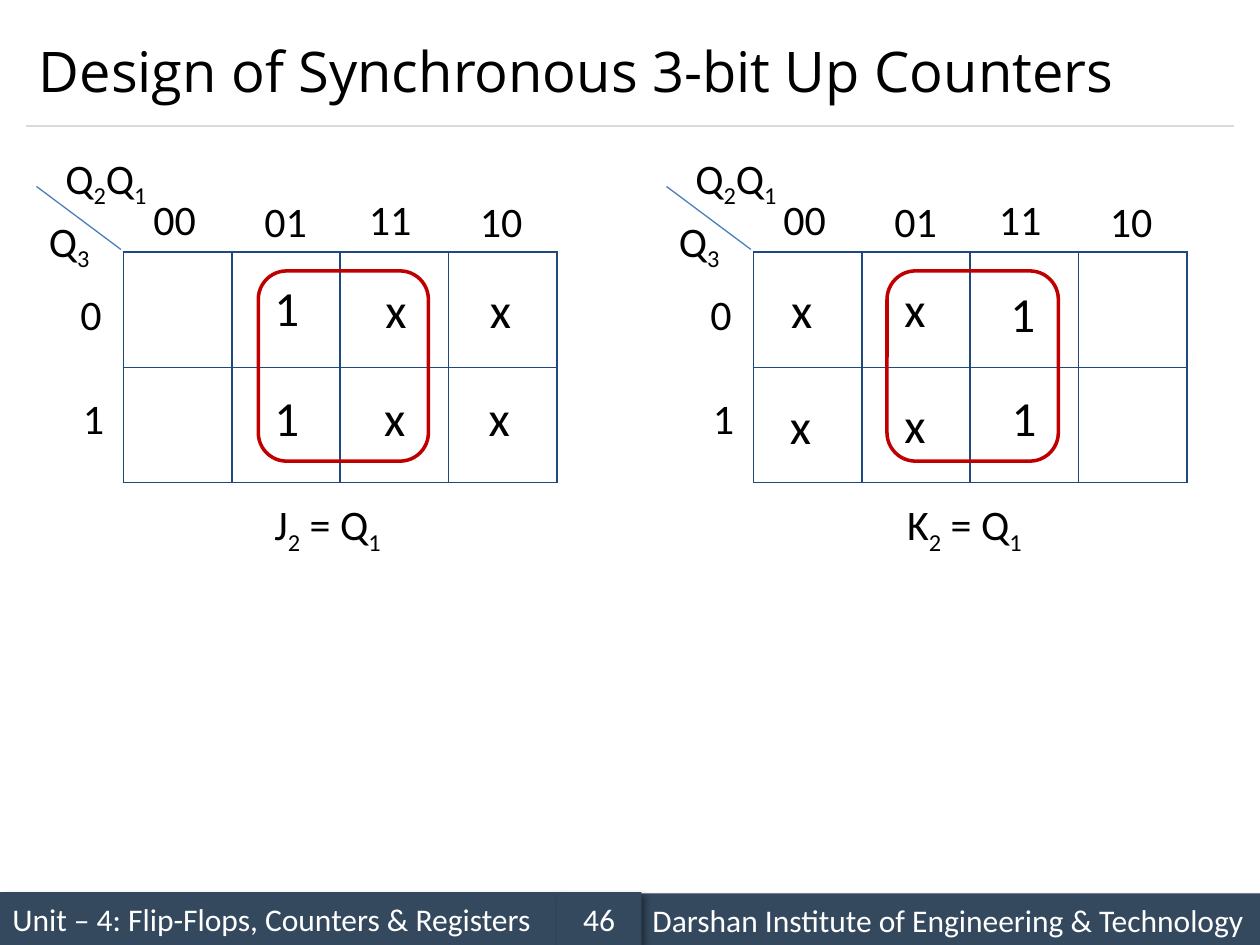
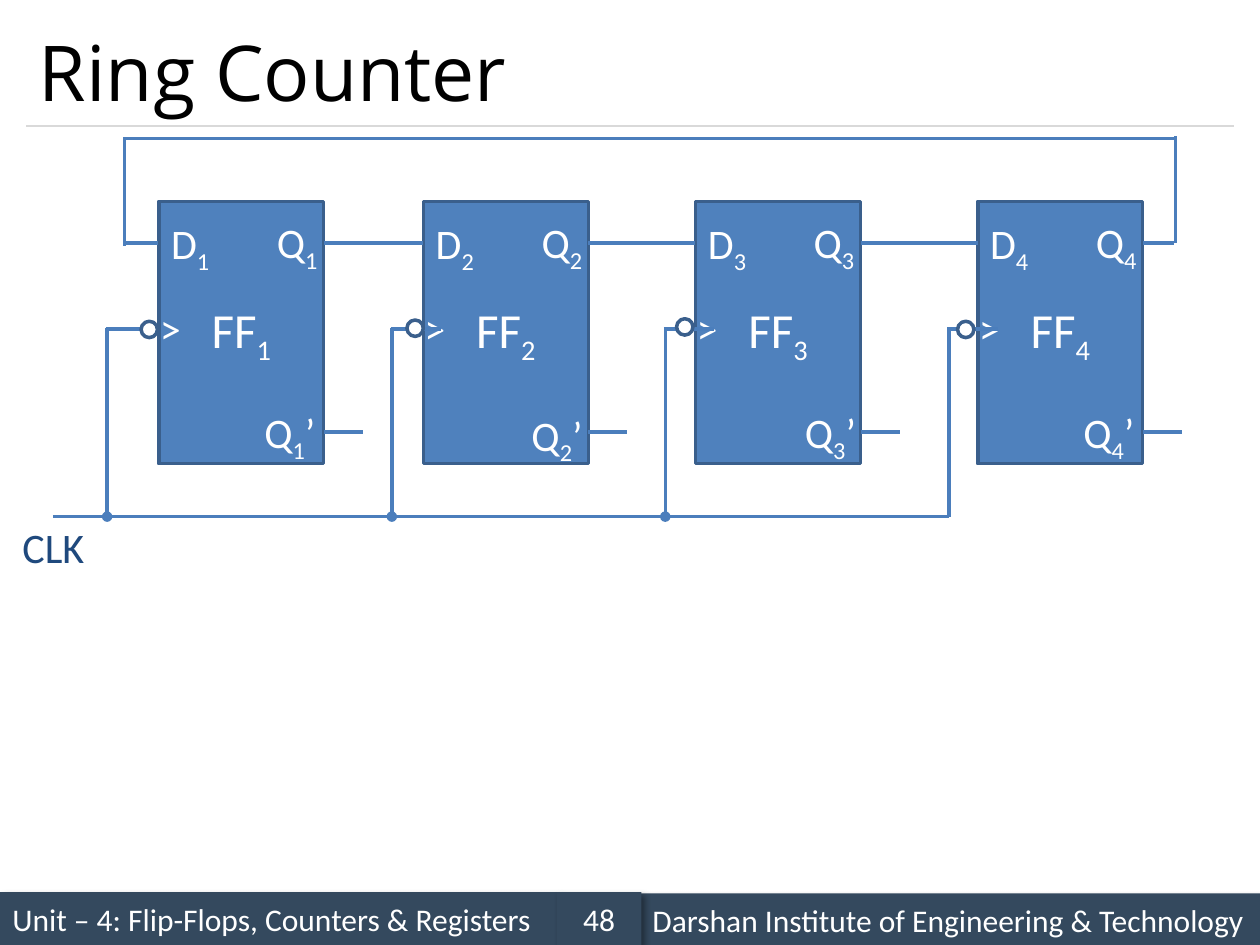
import lxml.etree
import pptx
import pptx.dml.color
import pptx.enum.shapes
import pptx.enum.text
import pptx.oxml.ns
import pptx.util

# Shared look
COLUMNS, ROWS = 10, 7.5
SLIDE_WIDTH = pptx.util.Inches(10)
SLIDE_HEIGHT = pptx.util.Inches(7.5)
BODY_FONT, TITLE_FONT = "Calibri", "Open Sans"
BLACK, WHITE = "000000", "FFFFFF"
BAND, RULE = "34495E", "D9D9D9"
WIRE, BLOCK, BLOCK_EDGE = "4B7EBC", "4F81BD", "3A5F8C"
NAVY, LOOP_RED = "1F497D", "C00000"

SHAPES = pptx.enum.shapes.MSO_SHAPE
ALIGN = pptx.enum.text.PP_ALIGN
ANCHOR = pptx.enum.text.MSO_ANCHOR


def color(hex_string):
    return pptx.dml.color.RGBColor.from_string(hex_string)


def across(columns):
    return round(SLIDE_WIDTH * columns / COLUMNS)


def down(rows):
    return round(SLIDE_HEIGHT * rows / ROWS)


def area(left, top, width, height):
    return across(left), down(top), across(width), down(height)


def add_xml(parent, tag, **attributes):
    element = lxml.etree.SubElement(parent, pptx.oxml.ns.qn(tag))
    for name, value in attributes.items():
        element.set(name, str(value))
    return element


# Basic elements
def write(shape, text, size, ink, font=BODY_FONT, align=ALIGN.LEFT):
    """Fill the first paragraph; the character after "_" is a subscript."""
    paragraph = shape.text_frame.paragraphs[0]
    paragraph.alignment = align
    paragraph.font.name = font
    paragraph.font.size = pptx.util.Pt(size)
    paragraph.font.color.rgb = color(ink)
    first, *rest = text.split("_")
    pieces = [(first, False)]
    for piece in rest:
        pieces += [(piece[0], True), (piece[1:], False)]
    for piece, subscript in pieces:
        if piece:
            run = paragraph.add_run()
            run.text = piece
            if subscript:
                run._r.get_or_add_rPr().set("baseline", "-25000")


def add_label(slide, text, left, top, width, size=24, ink=BLACK):
    label = slide.shapes.add_textbox(*area(left, top, width, size / 48))
    label.text_frame.word_wrap = False
    label.text_frame.auto_size = pptx.enum.text.MSO_AUTO_SIZE.SHAPE_TO_FIT_TEXT
    write(label, text, size, ink)


def add_box(slide, kind, place, fill=None, edge=None):
    box = slide.shapes.add_shape(kind, *area(*place))
    box.shadow.inherit = False
    box.text_frame.vertical_anchor = ANCHOR.MIDDLE
    if fill:
        box.fill.solid()
        box.fill.fore_color.rgb = color(fill)
    else:
        box.fill.background()
    if edge:
        box.line.color.rgb = color(edge)
        box.line.width = pptx.util.Pt(2)
    else:
        box.line.fill.background()
    return box


def add_line(slide, start, end, ink=WIRE, width=2, dot=False):
    line = slide.shapes.add_connector(
        pptx.enum.shapes.MSO_CONNECTOR.STRAIGHT,
        across(start[0]), down(start[1]), across(end[0]), down(end[1]))
    line.line.color.rgb = color(ink)
    line.line.width = pptx.util.Pt(width)
    if dot:
        add_xml(line.line._get_or_add_ln(), "a:headEnd", type="oval")
    add_xml(line._element.spPr, "a:effectLst")


# Title and footer
def add_band(slide, place, text, align=ALIGN.LEFT):
    band = add_box(slide, SHAPES.RECTANGLE, place, BAND)
    effects = band._element.spPr.find(pptx.oxml.ns.qn("a:effectLst"))
    shadow = add_xml(effects, "a:outerShdw", blurRad=pptx.util.Pt(4),
                     dist=pptx.util.Pt(3), dir=45 * 60000, algn="tl", rotWithShape=0)
    add_xml(add_xml(shadow, "a:srgbClr", val=BLACK), "a:alpha", val=40000)
    write(band, text, 18, WHITE, align=align)


def add_page(presentation, title, title_size, number):
    slide = presentation.slides.add_slide(presentation.slide_layouts[6])
    add_band(slide, (0, 7.08, 4.42, 0.42), "Unit – 4: Flip-Flops, Counters & Registers")
    add_line(slide, (0.21, 1), (9.79, 1), RULE, 0.75)
    add_band(slide, (5.08, 7.09, 4.92, 0.42), "Darshan Institute of Engineering & Technology")
    add_band(slide, (4.42, 7.08, 0.67, 0.42), str(number), ALIGN.CENTER)
    heading = slide.shapes.add_textbox(*area(0.21, 0.12, 9.58, 0.88))
    heading.text_frame.word_wrap = True
    heading.text_frame.vertical_anchor = ANCHOR.MIDDLE
    write(heading, title, title_size, BLACK, TITLE_FONT)
    return slide


# Karnaugh maps
def add_map_grid(slide, place):
    table = slide.shapes.add_table(2, 4, *area(*place)).table
    table.first_row = table.horz_banding = False
    for cell in table.iter_cells():
        properties = cell._tc.get_or_add_tcPr()
        for side in ("a:lnL", "a:lnR", "a:lnT", "a:lnB"):
            border = add_xml(properties, side, w=pptx.util.Pt(1))
            add_xml(add_xml(border, "a:solidFill"), "a:srgbClr", val=NAVY)
        cell.fill.background()


def add_karnaugh_map(slide, left, marks, loop, equation):
    """Marks are (text, column, row) offsets from the map's left edge."""
    add_map_grid(slide, (left + 0.98, 2, 3.44, 1.83))
    add_line(slide, (left + 0.96, 1.98), (left + 0.29, 1.48), width=0.75)
    headings = [("Q_2Q_1", 0.42, 1.16, 0.88), ("Q_3", 0.29, 1.66, 0.54),
                ("00", 1.12, 1.49, 0.54), ("01", 2, 1.5, 0.54),
                ("11", 2.83, 1.49, 0.54), ("10", 3.71, 1.5, 0.54),
                ("0", 0.54, 2.24, 0.37), ("1", 0.56, 3.07, 0.37), equation]
    for text, column, row, width in headings:
        add_label(slide, text, left + column, row, width)
    for text, column, row in marks:
        add_label(slide, text, left + column, row, 0.4 if text == "1" else 0.37, 28)
    loop_left, loop_width = loop
    add_box(slide, SHAPES.FLOWCHART_ALTERNATE_PROCESS,
            (left + loop_left, 2.15, loop_width, 1.51), edge=LOOP_RED)


# Ring counter
BLOCK_WIDTH, DATA_ROW, INVERSE_ROW = 1.31, 1.93, 3.43
CLOCK_ROW, CLOCK_INPUT_ROW, FEEDBACK_ROW = 4.1, 2.61, 1.1
# left edge, clock riser, bubble left, bubble top, inverse label left, its top
FLIP_FLOPS = [(1.26, 0.85, 1.12, 2.55, 2, 3.18),
              (3.36, 3.11, 3.23, 2.54, 4.12, 3.2),
              (5.52, 5.28, 5.37, 2.53, 6.29, 3.18),
              (7.76, 7.53, 7.6, 2.55, 8.5, 3.18)]


def add_flip_flop(slide, number, left):
    block = add_box(slide, SHAPES.RECTANGLE, (left, 1.6, BLOCK_WIDTH, 2.08), BLOCK, BLOCK_EDGE)
    write(block, f"FF_{number}", 28, WHITE, align=ALIGN.CENTER)
    add_label(slide, f"D_{number}", left, 1.68, 0.52, ink=WHITE)
    add_label(slide, f"Q_{number}", left + 0.84, 1.67, 0.54, ink=WHITE)
    add_label(slide, ">", left - 0.09, 2.35, 0.31, ink=WHITE)


def add_clock(slide):
    last_riser = FLIP_FLOPS[-1][1]
    add_line(slide, (0.42, CLOCK_ROW), (last_riser, CLOCK_ROW))
    for _, riser, *_ in FLIP_FLOPS:
        add_line(slide, (riser, CLOCK_ROW), (riser, 2.6), dot=riser != last_riser)
        add_line(slide, (riser - 0.01, CLOCK_INPUT_ROW), (riser + 0.39, CLOCK_INPUT_ROW))
    add_label(slide, "CLK", 0.08, 4.09, 0.7, ink=NAVY)


def add_data_wires(slide):
    lefts = [flip_flop[0] for flip_flop in FLIP_FLOPS]
    for left, next_left in zip(lefts, lefts[1:] + [9.32]):
        right = left + BLOCK_WIDTH
        add_line(slide, (right, DATA_ROW), (next_left, DATA_ROW))
        add_line(slide, (right, INVERSE_ROW), (right + 0.31, INVERSE_ROW))
    # Feedback from the last output to the first input
    add_line(slide, (0.99, 1.95), (0.99, FEEDBACK_ROW))
    add_line(slide, (1, DATA_ROW), (1.25, DATA_ROW))
    add_line(slide, (0.98, FEEDBACK_ROW), (9.33, FEEDBACK_ROW))
    add_line(slide, (9.33, DATA_ROW), (9.33, 1.08))


def add_ring_counter(slide):
    for number, (left, *_) in enumerate(FLIP_FLOPS, 1):
        add_flip_flop(slide, number, left)
    add_clock(slide)
    add_data_wires(slide)
    for number, flip_flop in enumerate(FLIP_FLOPS, 1):
        bubble_left, bubble_top, inverse_left, inverse_top = flip_flop[2:]
        add_box(slide, SHAPES.OVAL, (bubble_left, bubble_top, 0.13, 0.13), WHITE, BLOCK_EDGE)
        add_label(slide, f"Q_{number}’", inverse_left, inverse_top, 0.63, ink=WHITE)


def main():
    presentation = pptx.Presentation()
    presentation.slide_width = SLIDE_WIDTH
    presentation.slide_height = SLIDE_HEIGHT

    maps = add_page(presentation, "Design of Synchronous 3-bit Up Counters", 32, 46)
    add_karnaugh_map(
        maps, 0,
        [("1", 2.08, 2.15), ("x", 2.96, 2.17), ("x", 3.79, 2.17),
         ("1", 2.08, 3.03), ("x", 2.95, 3.03), ("x", 3.78, 3.03)],
        (2.05, 1.35), ("J_2 = Q_1", 2.08, 3.91, 1.08))
    add_karnaugh_map(
        maps, 5,
        [("x", 1.18, 2.17), ("x", 2.08, 2.16), ("1", 2.92, 2.2),
         ("x", 1.17, 3.09), ("x", 2.08, 3.08), ("1", 2.93, 3.03)],
        (2.04, 1.36), ("K_2 = Q_1", 2.1, 3.91, 1.15))

    ring = add_page(presentation, "Ring Counter", 44, 48)
    add_ring_counter(ring)

    presentation.save("out.pptx")


if __name__ == "__main__":
    main()
